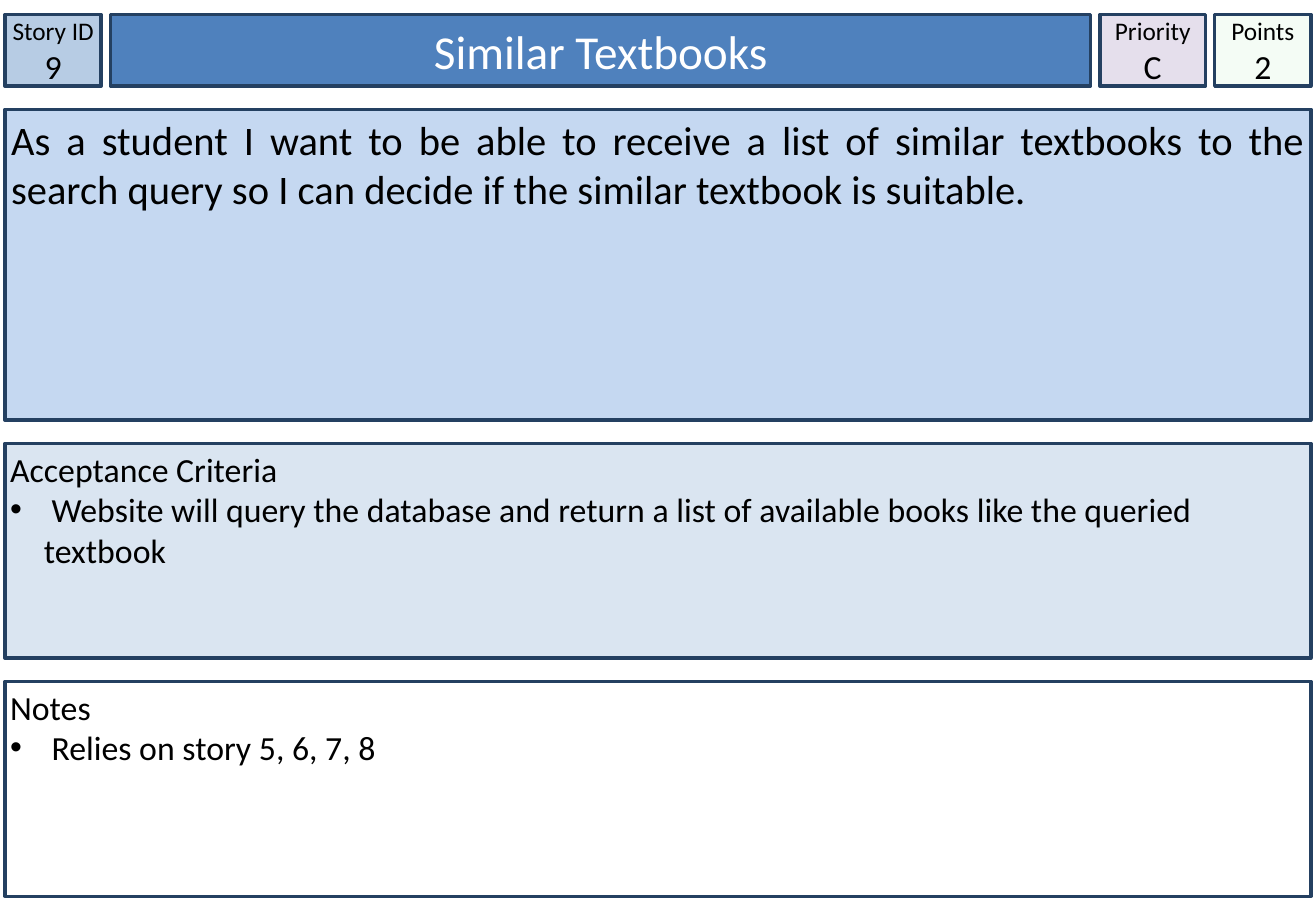
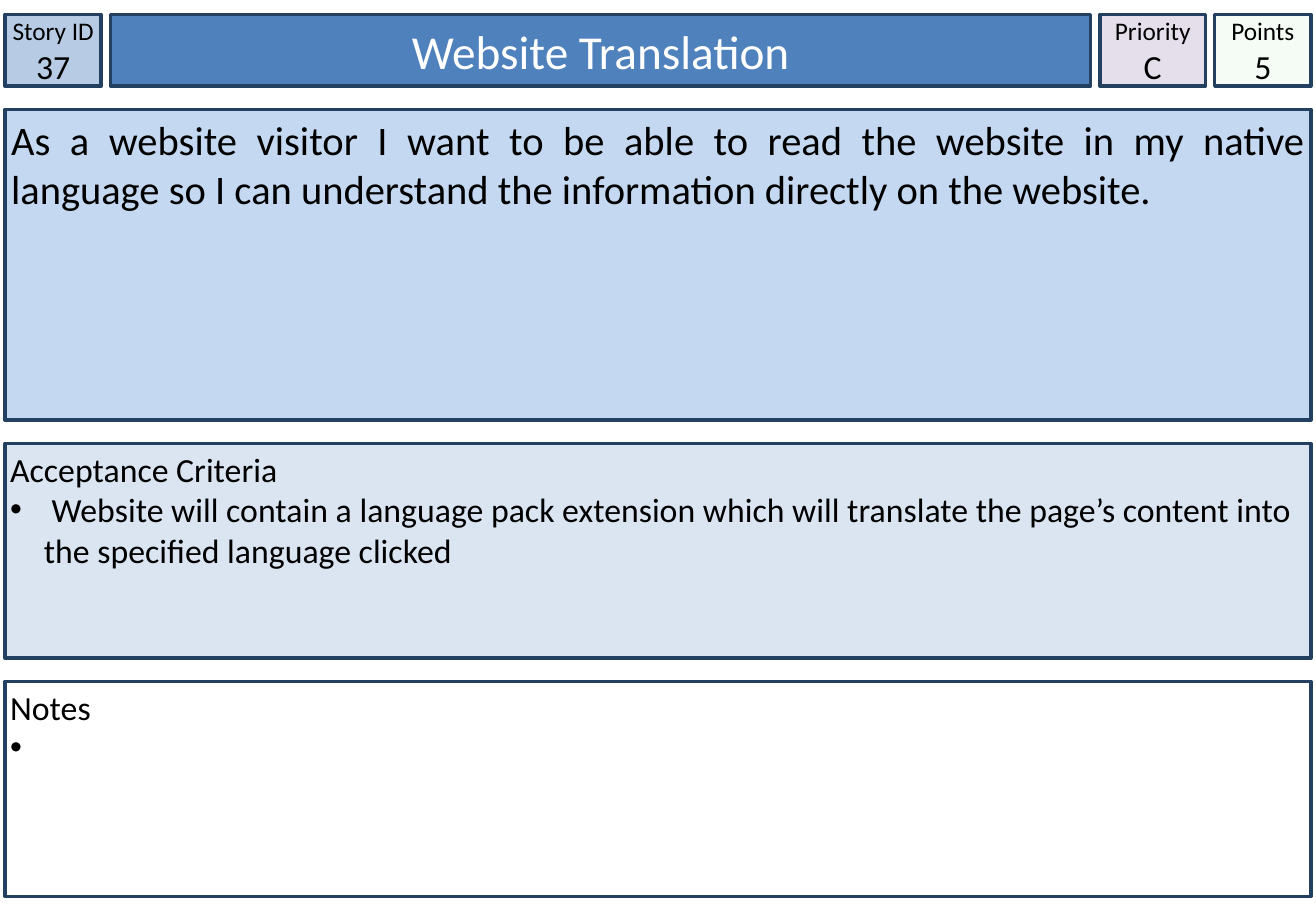
import lxml.etree
import pptx
import pptx.dml.color
import pptx.enum.shapes
import pptx.enum.text
import pptx.oxml.ns
import pptx.util

Pt = pptx.util.Pt
ALIGN = pptx.enum.text.PP_ALIGN
ANCHOR = pptx.enum.text.MSO_ANCHOR

PAGE_WIDTH, PAGE_HEIGHT = 780, 540
MARGIN, TOP = 3, 8.6
WIDTH = PAGE_WIDTH - 2 * MARGIN
HEADER_HEIGHT, STORY_HEIGHT, LIST_HEIGHT = 42.5, 184.3, 127.4
COLUMN_GAP, ROW_GAP = 5.5, 13.7
ID_WIDTH, PRIORITY_WIDTH, POINTS_WIDTH = 57, 62.5, 57
TITLE_WIDTH = WIDTH - ID_WIDTH - PRIORITY_WIDTH - POINTS_WIDTH - 3 * COLUMN_GAP

FONT = "Calibri"
BORDER, INK, WHITE = "244061", "000000", "FFFFFF"
ID_FILL, TITLE_FILL, PRIORITY_FILL, POINTS_FILL = "B7CCE4", "4F81BD", "E5DFEC", "CCF0CD"
STORY_FILL, CRITERIA_FILL = "C5D8F1", "DAE5F1"
INDENT = Pt(20)

CARDS = [
    {
        "id": "9", "title": "Similar Textbooks", "priority": "C", "points": "2",
        "story": "As a student I want to be able to receive a list of similar textbooks "
                 "to the search query so I can decide if the similar textbook is suitable.",
        "criteria": " Website will query the database and return a list of available books "
                    "like the queried textbook",
        "notes": " Relies on story 5, 6, 7, 8",
    },
    {
        "id": "37", "title": "Website Translation", "priority": "C", "points": "5",
        "story": "As a website visitor I want to be able to read the website in my native "
                 "language so I can understand the information directly on the website.",
        "criteria": " Website will contain a language pack extension which will translate "
                    "the page’s content into the specified language clicked",
        "notes": " ",
    },
]


def paint(color_format, color):
    color_format.rgb = pptx.dml.color.RGBColor.from_string(color)


def add_child(parent, tag, **attributes):
    child = lxml.etree.SubElement(parent, pptx.oxml.ns.qn(tag))
    for name, value in attributes.items():
        child.set(name, value)
    return child


def add_panel(page, area, fill, inset=0, anchor=ANCHOR.MIDDLE):
    box = page.shapes.add_shape(pptx.enum.shapes.MSO_SHAPE.RECTANGLE, *map(Pt, area))
    box.shadow.inherit = False
    box.fill.solid()
    paint(box.fill.fore_color, fill)
    paint(box.line.color, BORDER)
    box.line.width = Pt(2)
    frame = box.text_frame
    frame.word_wrap = True
    frame.vertical_anchor = anchor
    frame.margin_left = frame.margin_right = Pt(inset)
    frame.margin_top = frame.margin_bottom = Pt(inset)
    return box


def write(para, text, size, align=ALIGN.LEFT, color=INK):
    para.alignment = align
    span = para.add_run()
    span.text = text
    span.font.name = FONT
    span.font.size = Pt(size)
    paint(span.font.color, color)


def add_bullet(para):
    properties = para._p.get_or_add_pPr()
    properties.set("marL", str(INDENT))
    properties.set("indent", str(-INDENT))
    add_child(add_child(properties, "a:buClr"), "a:srgbClr", val=INK)
    add_child(properties, "a:buFont", typeface="Arial")
    add_child(properties, "a:buChar", char="•")


def add_field(page, area, fill, label, value):
    box = add_panel(page, area, fill)
    write(box.text_frame.paragraphs[0], label, 15, ALIGN.CENTER)
    write(box.text_frame.add_paragraph(), value, 20, ALIGN.CENTER)
    return box


def add_title(page, area, title):
    box = add_panel(page, area, TITLE_FILL)
    write(box.text_frame.paragraphs[0], title, 28, ALIGN.CENTER, WHITE)


def add_story(page, area, story):
    box = add_panel(page, area, STORY_FILL, 3.6, ANCHOR.TOP)
    write(box.text_frame.paragraphs[0], story, 24, ALIGN.JUSTIFY)


def add_list(page, area, fill, heading, item):
    box = add_panel(page, area, fill, 3, ANCHOR.TOP)
    write(box.text_frame.paragraphs[0], heading, 20)
    para = box.text_frame.add_paragraph()
    write(para, item, 20)
    add_bullet(para)


def add_header(page, left, top, card):
    areas = []
    for width in (ID_WIDTH, TITLE_WIDTH, PRIORITY_WIDTH, POINTS_WIDTH):
        areas.append((left, top, width, HEADER_HEIGHT))
        left += width + COLUMN_GAP
    id_area, title_area, priority_area, points_area = areas
    add_field(page, id_area, ID_FILL, "Story ID", card["id"])
    add_title(page, title_area, card["title"])
    add_field(page, priority_area, PRIORITY_FILL, "Priority", card["priority"])
    points = add_field(page, points_area, POINTS_FILL, "Points", card["points"])
    color = points._element.spPr.find(pptx.oxml.ns.qn("a:solidFill"))[0]
    add_child(color, "a:alpha", val="20000")


def add_card(deck, card):
    page = deck.slides.add_slide(deck.slide_layouts[6])
    add_header(page, MARGIN, TOP, card)
    top = TOP + HEADER_HEIGHT + ROW_GAP
    add_story(page, (MARGIN, top, WIDTH, STORY_HEIGHT), card["story"])
    top += STORY_HEIGHT + ROW_GAP
    for fill, heading, item in (
        (CRITERIA_FILL, "Acceptance Criteria", card["criteria"]),
        (WHITE, "Notes", card["notes"]),
    ):
        add_list(page, (MARGIN, top, WIDTH, LIST_HEIGHT), fill, heading, item)
        top += LIST_HEIGHT + ROW_GAP


def main():
    deck = pptx.Presentation()
    deck.slide_width, deck.slide_height = Pt(PAGE_WIDTH), Pt(PAGE_HEIGHT)
    for card in CARDS:
        add_card(deck, card)
    deck.save("out.pptx")


if __name__ == "__main__":
    main()
